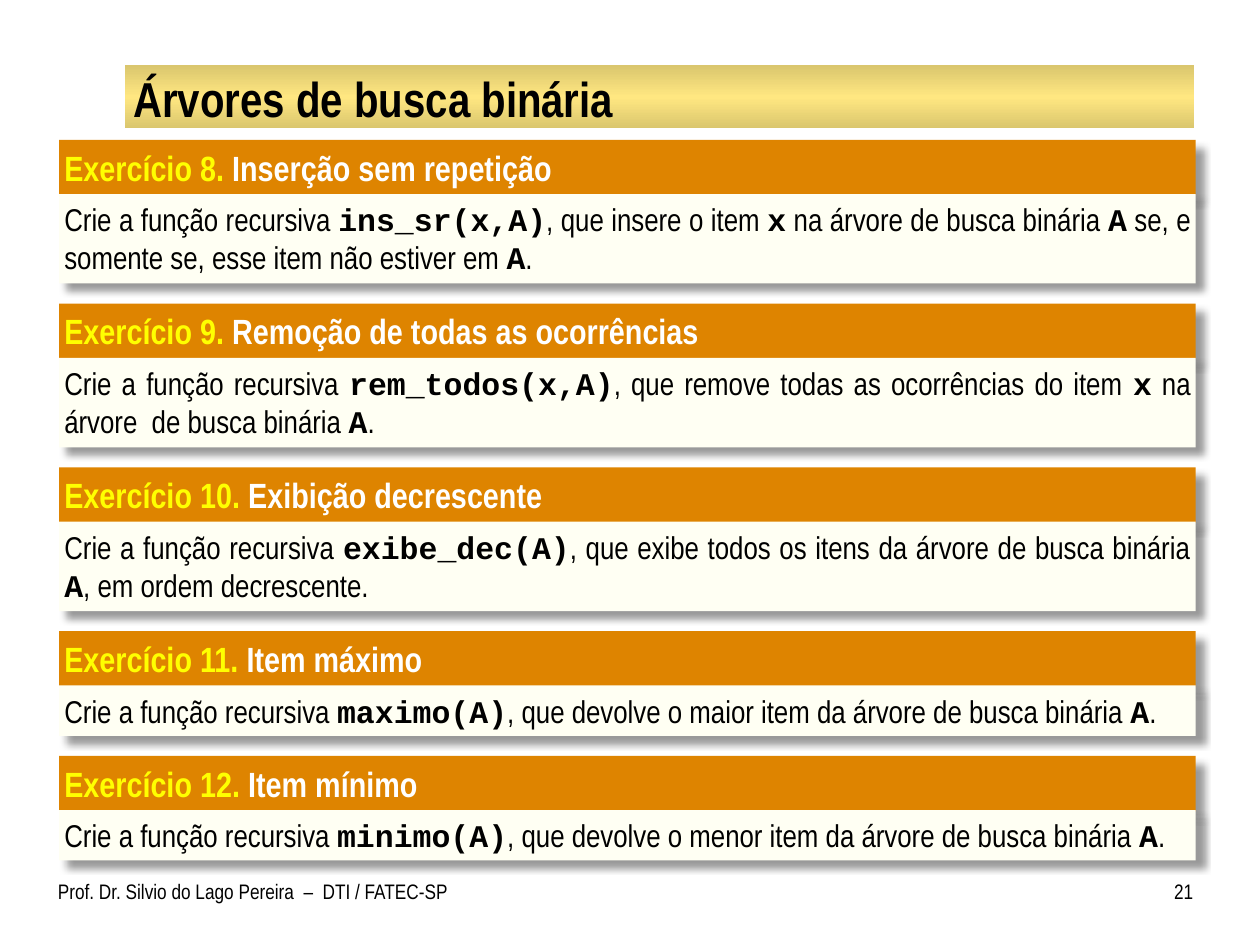
from lxml import etree
from pptx import Presentation
from pptx.dml.color import RGBColor
from pptx.enum.shapes import MSO_SHAPE
from pptx.enum.text import MSO_ANCHOR, PP_ALIGN
from pptx.oxml import parse_xml
from pptx.oxml.ns import nsdecls
from pptx.util import Inches, Pt

SHADOW = (
    f'<a:effectLst {nsdecls("a")}><a:outerShdw blurRad="50800" dist="76200" '
    'dir="2700000" algn="tl" rotWithShape="0"><a:srgbClr val="000000">'
    '<a:alpha val="40000"/></a:srgbClr></a:outerShdw></a:effectLst>'
)


def box(top, height, fill, left=0.47, width=9.02):
    rect = slide.shapes.add_shape(MSO_SHAPE.RECTANGLE, Inches(left), Inches(top),
                                  Inches(width), Inches(height))
    rect.shadow.inherit = False
    rect.line.fill.background()
    rect.fill.solid()
    rect.fill.fore_color.rgb = RGBColor.from_string(fill)
    return rect


def write(shape, runs, size, bold, align, ins, anchor=MSO_ANCHOR.TOP):
    """Fill a shape with (text, colour, font) runs."""
    frame = shape.text_frame
    frame.word_wrap = True
    frame.vertical_anchor = anchor
    (frame.margin_left, frame.margin_top,
     frame.margin_right, frame.margin_bottom) = map(Inches, ins)
    para = frame.paragraphs[0]
    para.alignment = align
    para.font.size = Pt(size)
    para.font.bold = bold
    para.font.name = "Arial Narrow"
    for text, color, font in runs:
        run = para.add_run()
        run.text = text
        run.font.color.rgb = RGBColor.from_string(color)
        if font:
            run.font.name = font
            run.font.bold = True


deck = Presentation()
deck.slide_width, deck.slide_height = Inches(10), Inches(7.5)
slide = deck.slides.add_slide(deck.slide_layouts[6])

# Title bar with a three-stop gradient
bar = box(0.52, 0.5, "FFE781", 0.99, 8.49)
bar.fill.gradient()
bar.fill.gradient_angle = 270
stops = bar.fill.gradient_stops
for stop in stops:
    stop.color.rgb = RGBColor.from_string("DAC66E")
stops[0].position, stops[1].position = 0, 1
first = bar.element.spPr.find(".//{*}gs")
mid = parse_xml(f'<a:gs {nsdecls("a")} pos="50000"><a:srgbClr val="FFE781"/></a:gs>')
first.addnext(mid)

# Title and footer: text, place, size, bold, alignment, insets, anchor
labels = [
    ("Árvores de busca binária", (1, 0.54, 8.47, 0.47), 28, True,
     PP_ALIGN.LEFT, (0.06, 0.01, 0.06, 0.01), MSO_ANCHOR.MIDDLE),
    ("Prof. Dr. Silvio do Lago Pereira  –  DTI / FATEC-SP", (0.46, 6.92, 3.27, 0.42),
     12, False, PP_ALIGN.LEFT, (0, 0.05, 0.1, 0.05), MSO_ANCHOR.TOP),
    ("21", (9.08, 6.92, 0.39, 0.42), 12, False,
     PP_ALIGN.RIGHT, (0.1, 0.05, 0, 0.05), MSO_ANCHOR.TOP),
]
for text, place, size, bold, align, ins, anchor in labels:
    label = slide.shapes.add_textbox(*map(Inches, place))
    write(label, [(text, "000000", None)], size, bold, align, ins, anchor)

# Exercises: name, task (code between backticks), lines of text
tasks = [
    ("Inserção sem repetição",
     "Crie a função recursiva `ins_sr(x,A)`, que insere o item `x` na árvore de busca "
     "binária `A` se, e somente se, esse item não estiver em `A`.", 2),
    ("Remoção de todas as ocorrências",
     "Crie a função recursiva `rem_todos(x,A)`, que remove todas as ocorrências do item "
     "`x` na árvore  de busca binária `A`.", 2),
    ("Exibição decrescente",
     "Crie a função recursiva `exibe_dec(A)`, que exibe todos os itens da árvore de busca "
     "binária `A`, em ordem decrescente.", 2),
    ("Item máximo",
     "Crie a função recursiva `maximo(A)`, que devolve o maior item da árvore de busca "
     "binária `A`.", 1),
    ("Item mínimo",
     "Crie a função recursiva `minimo(A)`, que devolve o menor item da árvore de busca "
     "binária `A`.", 1),
]
top = 1.11
for num, (name, task, lines) in enumerate(tasks, 8):
    height = 0.71 if lines == 2 else 0.4
    head = box(top, 0.44, "DE8400")
    body = box(top + 0.43, height, "FFFFF3")
    for part in (head, body):
        props = part.element.spPr
        props.replace(props.find("{*}effectLst"), etree.fromstring(SHADOW))
    write(head, [(f"Exercício {num}.", "FFFF00", None), (f" {name}", "FFFFFF", None)],
          20, True, PP_ALIGN.LEFT, (0.04, 0.05, 0.1, 0.05))
    runs = [(text, "000000", "Courier New" if i % 2 else None)
            for i, text in enumerate(task.split("`"))]
    write(body, runs, 18, False, PP_ALIGN.JUSTIFY, (0.04, 0.05, 0.04, 0.05))
    top += 0.43 + height + 0.16

deck.save("out.pptx")
